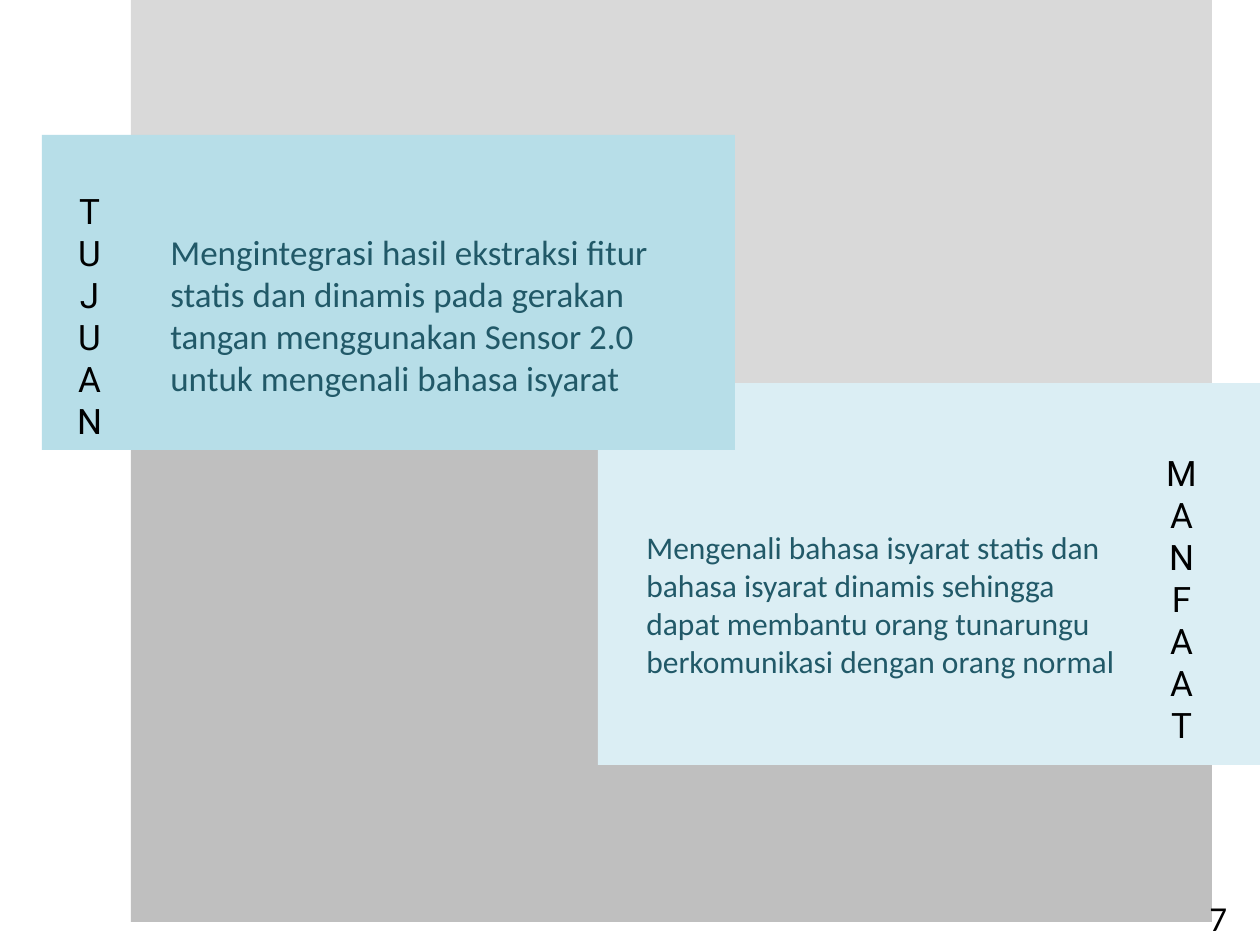
from pptx import Presentation
from pptx import util as u
from pptx.dml.color import RGBColor
from pptx.enum import shapes, text

PX = u.Inches(1) / 126

DARK_GREY = RGBColor(0xBF, 0xBF, 0xBF)
LIGHT_GREY = RGBColor(0xD9, 0xD9, 0xD9)
PALE_BLUE = RGBColor(0xDB, 0xEE, 0xF4)
SKY_BLUE = RGBColor(0xB7, 0xDE, 0xE8)
TEAL = RGBColor(0x21, 0x59, 0x68)
BLACK = RGBColor(0, 0, 0)

BODY = {"name": "Calibri", "size": u.Pt(20), "color": TEAL}
SMALL_BODY = {**BODY, "size": u.Pt(18)}
NUMBER = {**BODY, "color": BLACK}
LETTER = {**NUMBER, "name": "Roboto"}


def to_emu(box):
    return [round(length * PX) for length in box]


def add_panel(slide, box, color):
    shape = slide.shapes.add_shape(shapes.MSO_SHAPE.RECTANGLE, *to_emu(box))
    shape.shadow.inherit = False
    shape.fill.solid()
    shape.fill.fore_color.rgb = color
    shape.line.fill.background()


def add_text(slide, box, lines, style, align=text.PP_ALIGN.LEFT,
             anchor=text.MSO_ANCHOR.TOP):
    frame = slide.shapes.add_textbox(*to_emu(box)).text_frame
    frame.word_wrap = True
    frame.vertical_anchor = anchor
    frame.text = "\n".join(lines)
    for paragraph in frame.paragraphs:
        paragraph.alignment = align
        for key, value in style.items():
            if key == "color":
                paragraph.font.color.rgb = value
            else:
                setattr(paragraph.font, key, value)


def add_vertical_word(slide, box, word):
    """Stack the letters of a word, one to a line."""
    add_text(slide, box, word, LETTER, text.PP_ALIGN.CENTER, text.MSO_ANCHOR.MIDDLE)


def main():
    presentation = Presentation()
    presentation.slide_width, presentation.slide_height = to_emu((1260, 945))
    slide = presentation.slides.add_slide(presentation.slide_layouts[6])

    # Grey backdrop, then the two overlapping cards
    add_panel(slide, (131, 450, 1081, 472), DARK_GREY)
    add_panel(slide, (131, -23, 1081, 441), LIGHT_GREY)
    add_panel(slide, (598, 383, 703, 382), PALE_BLUE)
    add_panel(slide, (42, 135, 693, 315), SKY_BLUE)

    # Goal card
    add_text(slide, (158, 224, 504, 183),
             ["Mengintegrasi hasil ekstraksi fitur statis dan dinamis pada gerakan "
              "tangan menggunakan Sensor 2.0 untuk mengenali bahasa isyarat"], BODY)
    add_vertical_word(slide, (42, 158, 95, 315), "TUJUAN")

    # Benefit card
    add_text(slide, (634, 522, 504, 165),
             ["Mengenali bahasa isyarat statis dan bahasa isyarat dinamis sehingga "
              "dapat membantu orang tunarungu berkomunikasi dengan orang normal"],
             SMALL_BODY)
    add_vertical_word(slide, (1134, 441, 95, 315), "MANFAAT")

    # Slide number
    add_text(slide, (1197, 890, 63, 55), ["7"], NUMBER)

    presentation.save("out.pptx")


if __name__ == "__main__":
    main()
